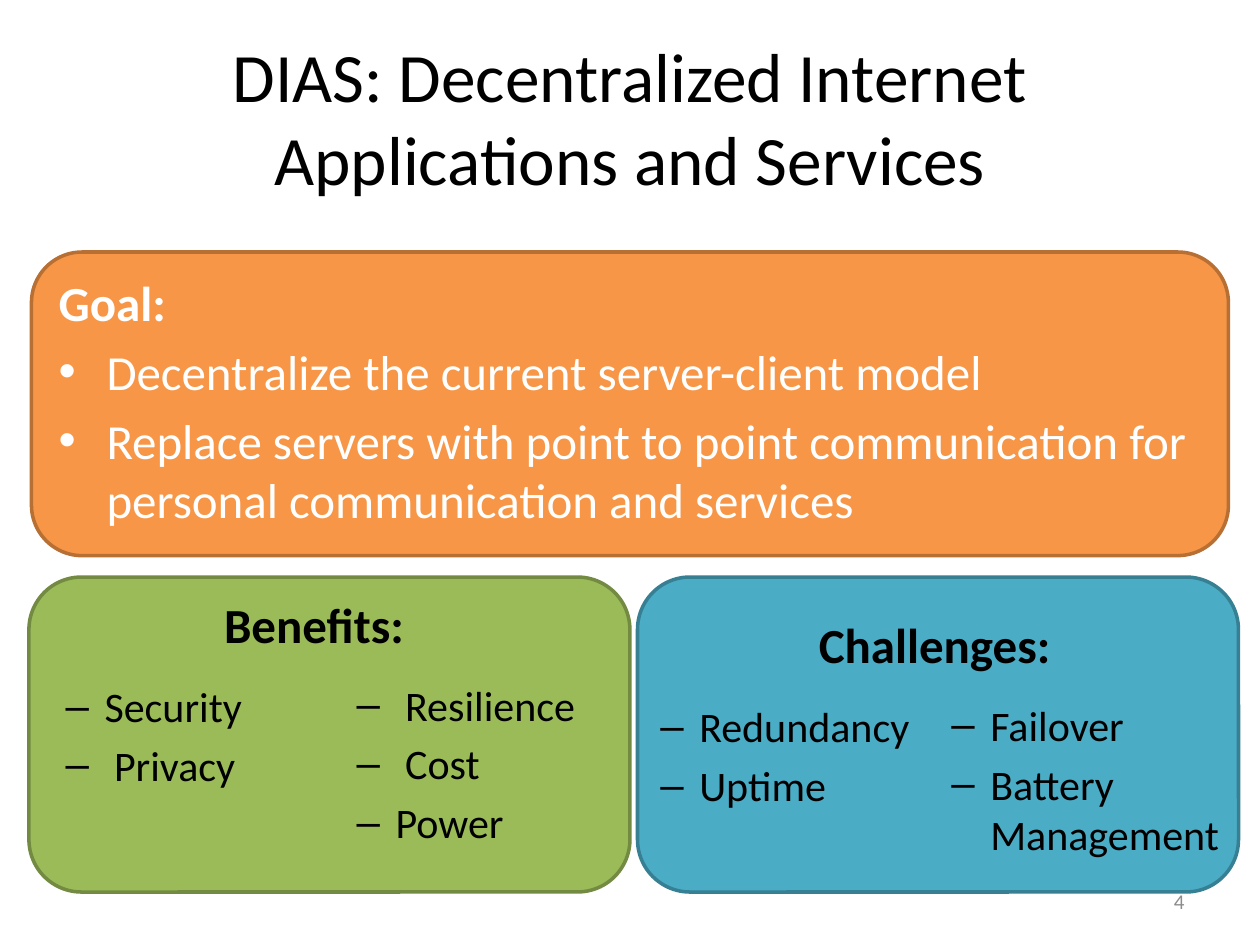
from pptx import Presentation, util as u
from pptx.dml.color import RGBColor
from pptx.enum import shapes, text
from lxml import etree

PX = 9144  # EMU in one px, 100 px to the inch
NS = "{http://schemas.openxmlformats.org/drawingml/2006/main}"
LEFT, MID, RIGHT = text.PP_ALIGN.LEFT, text.PP_ALIGN.CENTER, text.PP_ALIGN.RIGHT
TOP, CENTRE = text.MSO_ANCHOR.TOP, text.MSO_ANCHOR.MIDDLE


class Theme:
    face = "Calibri"
    black, white, grey = "000000", "FFFFFF", "8C8C8C"
    orange = ("F79646", "B76F34")  # fill, line
    green = ("9BBB59", "738A42")
    blue = ("4BACC6", "377F92")
    title, head, item, note = 39.6, 28, 24, 12


class Deck:
    def __init__(self, theme):
        self.theme = theme
        self.prs = Presentation()
        self.prs.slide_width, self.prs.slide_height = 1000 * PX, 750 * PX
        layout = self.prs.slide_layouts.get_by_name("Comparison")
        self.slide = self.prs.slides.add_slide(layout)
        self.shapes = self.slide.shapes

    def place(self, shape, box):
        for name, val in zip(("left", "top", "width", "height"), box):
            setattr(shape, name, val * PX)

    def frame(self, shape, anchor=TOP, wrap=True):
        form = {"auto_size": text.MSO_AUTO_SIZE.NONE, "word_wrap": wrap,
                "vertical_anchor": anchor}
        for name, val in form.items():
            setattr(shape.text_frame, name, val)
        return shape.text_frame

    def style(self, para, words, size, color, bold=False, align=LEFT, gap=0.2):
        para.alignment = align
        para.space_before = u.Pt(round(size * gap, 1))
        run = para.add_run()
        run.text = words
        form = {"name": self.theme.face, "size": u.Pt(size), "bold": bold}
        for name, val in form.items():
            setattr(run.font, name, val)
        run.font.color.rgb = RGBColor.from_string(color)

    def bullet(self, para, mark, margin, hang):
        props = para._p.get_or_add_pPr()
        props.set("marL", str(margin * PX))
        props.set("indent", str(-hang * PX))
        etree.SubElement(props, NS + "buFont", typeface="Arial")
        etree.SubElement(props, NS + "buChar", char=mark)

    def title(self, words, box):
        shape = self.shapes.title
        self.place(shape, box)
        para = self.frame(shape, CENTRE).paragraphs[0]
        self.style(para, words, self.theme.title, self.theme.black, align=MID, gap=0)

    def panel(self, box, colors):
        kind = shapes.MSO_SHAPE.ROUNDED_RECTANGLE
        shape = self.shapes.add_shape(kind, *(n * PX for n in box))
        shape.shadow.inherit = False
        fill, line = map(RGBColor.from_string, colors)
        shape.fill.solid()
        shape.fill.fore_color.rgb = fill
        shape.line.color.rgb = line
        shape.line.width = u.Pt(2)
        return shape

    def goal(self, box, head, items):
        body = self.frame(self.panel(box, self.theme.orange))
        size, color = self.theme.head, self.theme.white
        self.style(body.paragraphs[0], head, size, color, bold=True)
        for item in items:
            para = body.add_paragraph()
            self.style(para, item, size, color)
            self.bullet(para, "•", 38, 38)

    def list(self, slot, box, items):
        shape = self.slide.placeholders[slot]
        self.shapes._spTree.append(shape._element)  # bring in front of the panels
        self.place(shape, box)
        body = self.frame(shape)
        for i, item in enumerate(items):
            para = body.add_paragraph() if i else body.paragraphs[0]
            para.level = 1
            self.style(para, item, self.theme.item, self.theme.black)
            self.bullet(para, "–", 81, 31)

    def label(self, words, box, size, color, anchor=TOP, wrap=False, **form):
        shape = self.shapes.add_textbox(*(n * PX for n in box))
        para = self.frame(shape, anchor, wrap).paragraphs[0]
        self.style(para, words, size, color, **form)


def main():
    look = Theme()
    deck = Deck(look)

    # Title and page number
    deck.title("DIAS: Decentralized Internet Applications and Services",
               (50, 30, 900, 125))
    deck.label("4", (717, 695, 233, 40), look.note, look.grey,
               anchor=CENTRE, wrap=True, align=RIGHT, gap=0)

    # Goal
    deck.goal((25, 200, 950, 241), "Goal:", [
        "Decentralize the current server-client model",
        "Replace servers with point to point communication for "
        "personal communication and services"])

    # Benefits and challenges: panel, heading, two lists each
    parts = [
        (23, look.green, "Benefits:", (168, 467, 165, 57),
         (1, (-8, 535, 275, 99), ["Security", " Privacy"]),
         (2, (223, 534, 283, 147), [" Resilience", " Cost", "Power"])),
        (506, look.blue, "Challenges:", (640, 483, 206, 57),
         (3, (464, 551, 275, 99), ["Redundancy", "Uptime"]),
         (4, (695, 550, 283, 139), ["Failover", "Battery Management"])),
    ]
    for left, colors, head, box, *lists in parts:
        deck.panel((left, 458, 477, 250), colors)
        deck.label(head, box, look.head, look.black, bold=True)
        for entry in lists:
            deck.list(*entry)

    deck.prs.save("out.pptx")


if __name__ == "__main__":
    main()
